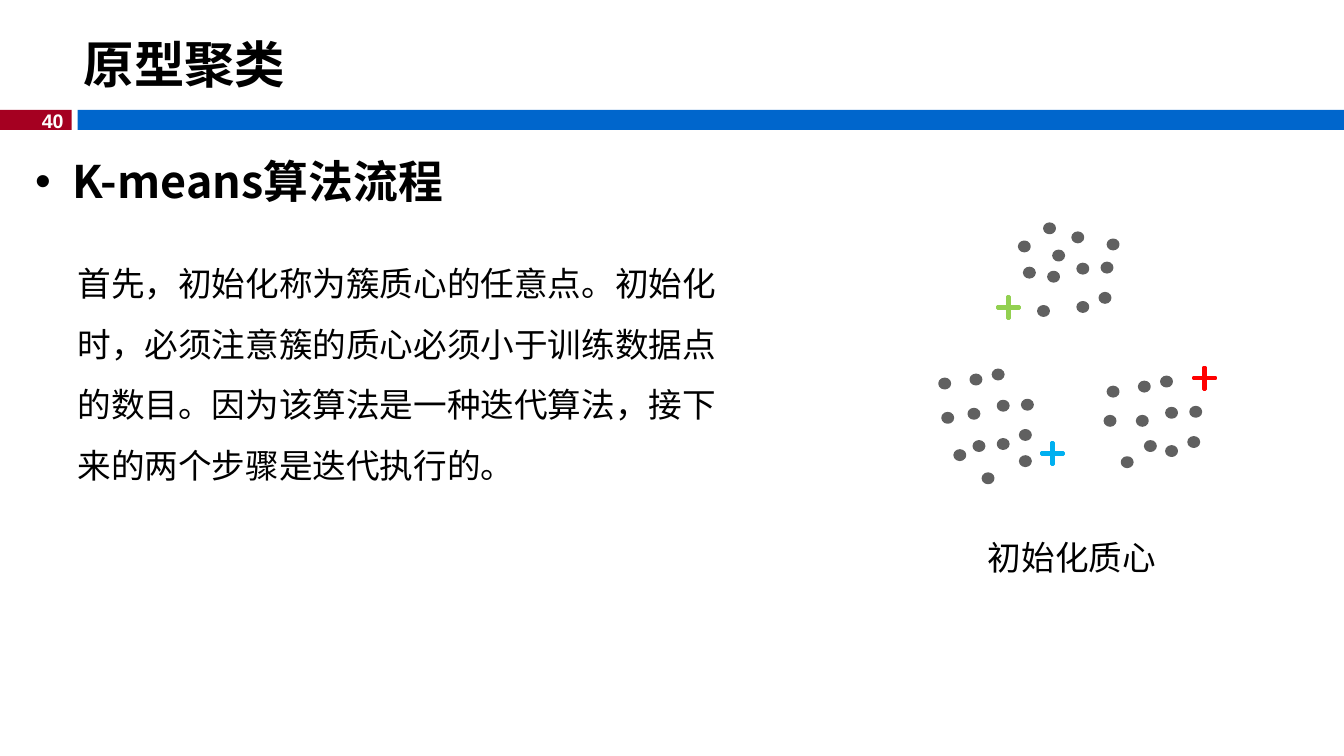
from pptx import Presentation
from pptx.dml.color import RGBColor
from pptx.enum.shapes import MSO_SHAPE
from pptx.enum.text import MSO_ANCHOR, PP_ALIGN
from pptx.oxml.ns import qn
from pptx.util import Inches, Pt

SANS = "Noto Sans CJK SC"
DOT_SIZE = (0.1, 0.09)
DOT_COLOR = "606060"
LEFT_CLUSTER = [
    (9.63, 3.72), (9.85, 3.67), (9.32, 3.76), (9.61, 4.06), (9.9, 4.36),
    (10.14, 3.97), (9.75, 4.7), (10.12, 4.27), (10.12, 4.53), (9.9, 3.98),
    (9.47, 4.47), (9.35, 4.1), (9.66, 4.38),
]
TOP_CLUSTER = [
    (10.36, 2.22), (10.64, 2.31), (10.11, 2.4), (10.4, 2.7), (10.69, 3),
    (10.93, 2.61), (10.99, 2.38), (10.91, 2.91), (10.16, 2.66),
    (10.69, 2.62), (10.3, 3.04), (10.45, 2.49),
]
RIGHT_CLUSTER = [
    (11.3, 3.79), (11.52, 3.74), (10.99, 3.84), (11.28, 4.13), (11.57, 4.43),
    (11.81, 4.04), (11.36, 4.38), (11.79, 4.34), (10.96, 4.13),
    (11.57, 4.05), (11.13, 4.54),
]
CENTROIDS = [
    (9.89, 2.94, "92D050"),
    (11.84, 3.64, "FF0000"),
    (10.33, 4.39, "00B0F0"),
]


def color(value):
    return RGBColor.from_string(value)


def set_all(target, values):
    for name, value in values.items():
        setattr(target, name, value)


def place(shape, left, top, width, height):
    set_all(shape, {"left": Inches(left), "top": Inches(top),
                    "width": Inches(width), "height": Inches(height)})


def add_solid(shapes, kind, left, top, width, height, fill, line_width=0):
    shape = shapes.add_shape(kind, Inches(left), Inches(top),
                             Inches(width), Inches(height))
    shape.shadow.inherit = False
    shape.fill.solid()
    shape.fill.fore_color.rgb = color(fill)
    if line_width:
        shape.line.color.rgb = color(fill)
        shape.line.width = Pt(line_width)
    else:
        shape.line.fill.background()
    return shape


def write(box, text, size, font="Arial", fill="000000", bold=False,
          wrap=True, anchor=MSO_ANCHOR.TOP, **layout):
    """Put one formatted paragraph in a box and return the paragraph."""
    set_all(box.text_frame, {"word_wrap": wrap, "vertical_anchor": anchor})
    para = box.text_frame.paragraphs[0]
    set_all(para, layout)
    span = para.add_run()
    span.text = text
    set_all(span.font, {"name": font, "size": Pt(size), "bold": bold})
    span.font.color.rgb = color(fill)
    if font == SANS:
        east_asian = span.font._element.makeelement(qn("a:ea"), {"typeface": font})
        span.font._element.find(qn("a:latin")).addnext(east_asian)
    return para


def add_text(page, area, text, size, **options):
    box = page.shapes.add_textbox(*map(Inches, area))
    return write(box, text, size, **options)


def add_bullet(para, indent):
    properties = para._p.get_or_add_pPr()
    properties.set("marL", str(Inches(indent)))
    properties.set("indent", str(-Inches(indent)))
    for tag, values in (("a:buFont", {"typeface": "Arial"}),
                        ("a:buChar", {"char": "•"})):
        properties.append(properties.makeelement(qn(tag), values))


def add_header(page):
    add_solid(page.shapes, MSO_SHAPE.RECTANGLE, 0, 1.09, 0.71, 0.2, "A50021")
    add_solid(page.shapes, MSO_SHAPE.RECTANGLE, 0.77, 1.09, 12.56, 0.2, "0066CC")
    add_text(page, (0.29, 1.03, 0.44, 0.34), "40", 14, fill="FFFFFF",
             bold=True, wrap=False, alignment=PP_ALIGN.RIGHT)
    title = page.shapes.title
    place(title, 0.73, 0.26, 12.6, 0.74)
    write(title, "原型聚类", 36, font=SANS, bold=True,
          anchor=MSO_ANCHOR.MIDDLE, alignment=PP_ALIGN.LEFT)


def add_clusters(page):
    figure = page.shapes.add_group_shape()
    for left, top in LEFT_CLUSTER + TOP_CLUSTER + RIGHT_CLUSTER:
        add_solid(figure.shapes, MSO_SHAPE.OVAL, left, top, *DOT_SIZE,
                  DOT_COLOR, 2)
    for left, top, fill in CENTROIDS:
        plus = add_solid(figure.shapes, MSO_SHAPE.CROSS, left, top, 0.22, 0.22,
                         fill, 2)
        plus.adjustments[0] = 0.454


def main():
    deck = Presentation()
    set_all(deck, {"slide_width": Inches(13.33), "slide_height": Inches(7.5)})
    page = deck.slides.add_slide(deck.slide_layouts[5])
    add_header(page)
    add_clusters(page)
    add_text(page, (9.7, 5.28, 2.12, 0.5), "初始化质心", 24)
    add_text(page, (0.67, 2.36, 6.67, 2.45),
             "首先，初始化称为簇质心的任意点。初始化时，必须注意簇的质心必须小于"
             "训练数据点的数目。因为该算法是一种迭代算法，接下来的两个步骤是迭代"
             "执行的。", 24, line_spacing=1.5)
    heading = add_text(page, (0.25, 1.48, 12, 0.75), "K-means算法流程", 32,
                       font=SANS, bold=True)
    add_bullet(heading, 0.37)
    deck.save("out.pptx")


if __name__ == "__main__":
    main()
